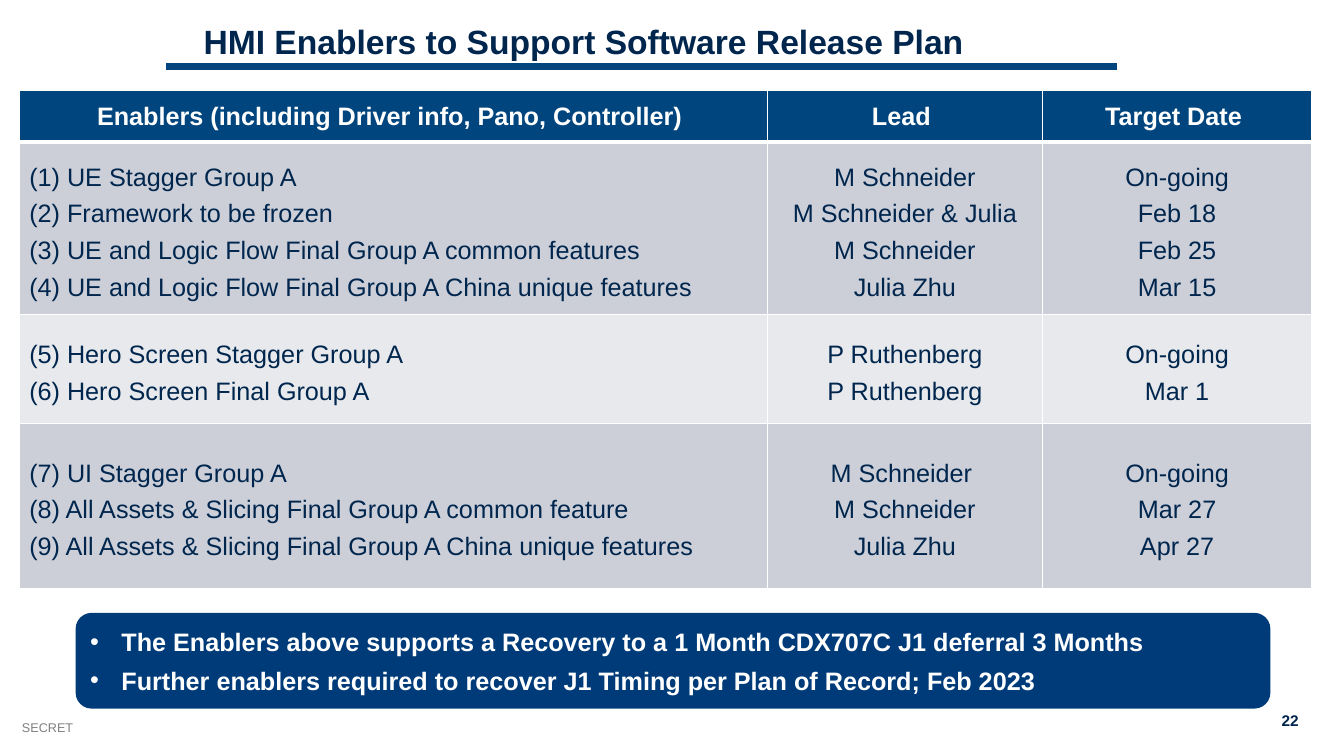
import pptx
import pptx.util
import pptx.dml.color
import pptx.enum.shapes
import pptx.enum.text
import pptx.oxml.ns
from lxml import etree

Inches = pptx.util.Inches
RGBColor = pptx.dml.color.RGBColor
Align = pptx.enum.text.PP_ALIGN
Anchor = pptx.enum.text.MSO_ANCHOR
qn = pptx.oxml.ns.qn

NAVY = RGBColor(0x00, 0x26, 0x4E)
BLUE = RGBColor(0x00, 0x45, 0x7E)
PANEL = RGBColor(0x00, 0x3B, 0x79)
GRAY = RGBColor(0x80, 0x80, 0x80)
BAND_DARK = RGBColor(0xCC, 0xCF, 0xD8)
BAND_LIGHT = RGBColor(0xE7, 0xE9, 0xEC)
WHITE = RGBColor(0xFF, 0xFF, 0xFF)

COLUMNS = [7.42, 2.73, 2.67]
ROW_HEIGHTS = [0.51, 1.71, 1.08, 1.64]
HEADER = ["Enablers (including Driver info, Pano, Controller) ", "Lead ", "Target Date "]
GROUPS = [
    [("(1) UE Stagger Group A", "M Schneider", "On-going"),
     ("(2) Framework to be frozen", "M Schneider & Julia", "Feb 18"),
     ("(3) UE and Logic Flow Final Group A common features", "M Schneider", "Feb 25"),
     ("(4) UE and Logic Flow Final Group A China unique features", "Julia Zhu", "Mar 15")],
    [("(5) Hero Screen Stagger Group A", "P Ruthenberg", "On-going"),
     ("(6) Hero Screen Final Group A", "P Ruthenberg", "Mar 1")],
    [("(7) UI Stagger Group A", "M Schneider ", "On-going"),
     ("(8) All Assets & Slicing Final Group A common feature", "M Schneider", "Mar 27"),
     ("(9) All Assets & Slicing Final Group A China unique features", "Julia Zhu", "Apr 27")],
]
MESSAGES = [
    "The Enablers above supports a Recovery to a 1 Month CDX707C J1 deferral 3 Months",
    "Further enablers required to recover J1 Timing per Plan of Record; Feb 2023",
]


def write(tf, lines, size=18, color=NAVY, bold=False, align=Align.LEFT,
          spacing=None, after=None, bullet=None):
    """Fill a text frame with one formatted paragraph per line."""
    for i, text in enumerate(lines):
        p = tf.add_paragraph() if i else tf.paragraphs[0]
        if bullet:
            pPr = p._p.get_or_add_pPr()
            pPr.set("marL", str(Inches(0.31)))
            pPr.set("indent", str(Inches(-0.31)))
            etree.SubElement(pPr, qn("a:buFont"), typeface="Arial")
            etree.SubElement(pPr, qn("a:buChar"), char=bullet)
        p.alignment = align
        if spacing:
            p.line_spacing = spacing
        if after:
            p.space_after = pptx.util.Pt(after)
        r = p.add_run()
        r.text = text
        r.font.name = "Arial"
        r.font.size = pptx.util.Pt(size)
        r.font.bold = bold
        r.font.color.rgb = color


class Deck:
    """Hold the presentation style and the current slide."""

    def __init__(self):
        """Open a widescreen presentation with one blank slide."""
        self.prs = pptx.Presentation()
        self.prs.slide_width = Inches(13.33)
        self.prs.slide_height = Inches(7.5)
        self.s = self.prs.slides.add_slide(self.prs.slide_layouts[6])

    def text(self, box, text, wrap=False, **fmt):
        """Add a text box."""
        tf = self.s.shapes.add_textbox(*map(Inches, box)).text_frame
        tf.word_wrap = wrap
        write(tf, [text], **fmt)

    def rule(self, x1, x2, y):
        """Add a thick horizontal rule."""
        line = self.s.shapes.add_connector(
            pptx.enum.shapes.MSO_CONNECTOR.STRAIGHT,
            Inches(x1), Inches(y), Inches(x2), Inches(y))
        line.line.color.rgb = BLUE
        line.line.width = pptx.util.Pt(4.5)
        etree.SubElement(line._element.spPr, qn("a:effectLst"))

    def panel(self, box, lines):
        """Add a rounded panel with bulleted messages."""
        sp = self.s.shapes.add_shape(
            pptx.enum.shapes.MSO_SHAPE.ROUNDED_RECTANGLE, *map(Inches, box))
        sp.shadow.inherit = False
        sp.fill.solid()
        sp.fill.fore_color.rgb = PANEL
        sp.line.fill.background()
        tf = sp.text_frame
        tf.word_wrap = True
        tf.vertical_anchor = Anchor.MIDDLE
        write(tf, lines, color=WHITE, bold=True, after=6, bullet="•")

    def cell(self, cell, lines, fill, bottom=1, **fmt):
        """Fill and border one table cell."""
        tcPr = cell._tc.get_or_add_tcPr()
        for side, width in (("L", 1), ("R", 1), ("T", 1), ("B", bottom)):
            ln = etree.SubElement(tcPr, qn("a:ln" + side), w=str(pptx.util.Pt(width)))
            solid = etree.SubElement(ln, qn("a:solidFill"))
            etree.SubElement(solid, qn("a:srgbClr"), val=str(WHITE))
        cell.fill.solid()
        cell.fill.fore_color.rgb = fill
        cell.vertical_anchor = Anchor.MIDDLE
        write(cell.text_frame, lines, **fmt)

    def table(self, left, top):
        """Add the enabler table."""
        table = self.s.shapes.add_table(
            len(ROW_HEIGHTS), len(COLUMNS), Inches(left), Inches(top),
            Inches(sum(COLUMNS)), Inches(sum(ROW_HEIGHTS))).table
        for column, width in zip(table.columns, COLUMNS):
            column.width = Inches(width)
        for row, height in zip(table.rows, ROW_HEIGHTS):
            row.height = Inches(height)
        for c, title in enumerate(HEADER):
            self.cell(table.cell(0, c), [title], BLUE, bottom=3,
                      color=WHITE, bold=True, align=Align.CENTER)
        for r, group in enumerate(GROUPS, 1):
            fill = BAND_DARK if r % 2 else BAND_LIGHT
            for c, lines in enumerate(zip(*group)):
                self.cell(table.cell(r, c), lines, fill, spacing=1.3,
                          align=Align.CENTER if c else Align.LEFT)


def main():
    """Build and save the slide."""
    deck = Deck()
    deck.text((0.12, 7.09, 3, 0.25), "SECRET", size=9, color=GRAY)
    deck.text((12.59, 7.01, 0.39, 0.29), "22", size=11, bold=True, align=Align.RIGHT)
    deck.rule(1.65, 11.08, 0.66)
    deck.text((1.92, 0.2, 11.85, 0.63), "HMI Enablers to Support Software Release Plan",
              wrap=True, size=24, bold=True, spacing=0.9)
    deck.table(0.19, 0.9)
    deck.panel((0.75, 6.08, 11.85, 0.95), MESSAGES)
    deck.prs.save("out.pptx")


if __name__ == "__main__":
    main()
